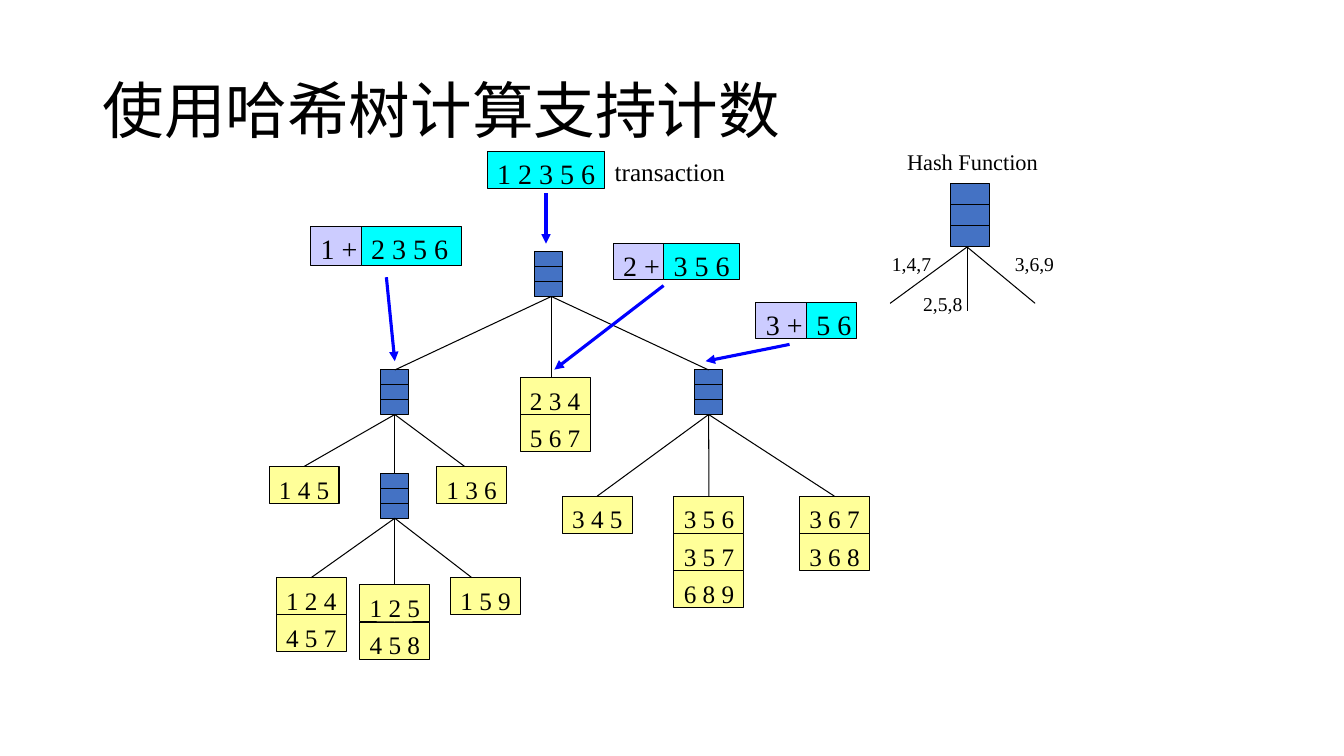
from pptx import Presentation
from pptx.dml.color import RGBColor
from pptx.enum.shapes import MSO_CONNECTOR, MSO_SHAPE
from pptx.enum.text import MSO_ANCHOR, MSO_AUTO_SIZE, PP_ALIGN
from pptx.oxml.ns import qn
from pptx.util import Pt
from lxml.etree import SubElement


def rgb(value):
    return RGBColor.from_string(value)


def write(tf, text, size=18, font="Times New Roman", color="000000", spacing=None):
    p = tf.paragraphs[0]
    p.alignment = PP_ALIGN.LEFT
    p.line_spacing = spacing
    r = p.add_run()
    r.text = text
    r.font.size = Pt(size)
    r.font.name = font
    r.font.color.rgb = rgb(color)
    SubElement(r.font._element, qn("a:ea")).set("typeface", font)


class HashTreeSlide:
    """Draw the parts of a hash tree on one slide, in points."""

    INK, ARROW = "000000", "0000FF"
    NODE, LEAF, PREFIX, ITEMS = "4472C4", "FFFF99", "CCCCFF", "00FFFF"
    NODE_W, NODE_H, LEAF_W, LEAF_H = 20, 31.8, 50, 26.5

    def __init__(self, prs):
        self.s = prs.slides.add_slide(prs.slide_layouts[5])

    def title(self, text, x, y, w, h):
        sp = self.s.shapes.title
        sp.left, sp.top, sp.width, sp.height = Pt(x), Pt(y), Pt(w), Pt(h)
        tf = sp.text_frame
        tf.auto_size = MSO_AUTO_SIZE.NONE
        tf.vertical_anchor = MSO_ANCHOR.MIDDLE
        write(tf, text, size=44, font="Noto Sans CJK SC", spacing=0.9)

    def label(self, text, x, y, w, h, size):
        tf = self.s.shapes.add_textbox(Pt(x), Pt(y), Pt(w), Pt(h)).text_frame
        tf.word_wrap = False
        write(tf, text, size=size)

    def box(self, x, y, w, h, fill, text="", size=18, top=3.6):
        sp = self.s.shapes.add_shape(MSO_SHAPE.RECTANGLE, Pt(x), Pt(y), Pt(w), Pt(h))
        sp.shadow.inherit = False
        sp.fill.solid()
        sp.fill.fore_color.rgb = rgb(fill)
        sp.line.color.rgb = rgb(self.INK)
        sp.line.width = Pt(0.75)
        if text:
            tf = sp.text_frame
            tf.word_wrap = True
            tf.vertical_anchor = MSO_ANCHOR.TOP
            tf.margin_top, tf.margin_right, tf.margin_bottom = Pt(top), 0, 0
            write(tf, text, size=size)
        return sp

    def line(self, x1, y1, x2, y2, color=INK, width=0.75):
        c = self.s.shapes.add_connector(
            MSO_CONNECTOR.STRAIGHT, Pt(x1), Pt(y1), Pt(x2), Pt(y2))
        c.line.color.rgb = rgb(color)
        c.line.width = Pt(width)
        SubElement(c._element.spPr, qn("a:effectLst"))
        return c

    def arrow(self, *ends):
        c = self.line(*ends, color=self.ARROW, width=2.25)
        SubElement(c.line._get_or_add_ln(), qn("a:tailEnd")).set("type", "triangle")

    def node(self, x, y, w=NODE_W, h=NODE_H):
        sp = self.box(x, y, w, h, self.NODE)
        for i in (1, 2):
            self.line(x, y + h * i / 3, x + w, y + h * i / 3)
        return sp

    def leaf(self, x, y, *itemsets):
        cells = [self.box(x, y + i * self.LEAF_H, self.LEAF_W, self.LEAF_H,
                          self.LEAF, text, top=5.4)
                 for i, text in enumerate(itemsets)]
        return cells[0]

    def link(self, parent, child, start=None, end=None):
        bottom = parent.top.pt + parent.height.pt
        c = self.line(start or 0, bottom, end or 0, child.top.pt)
        if start is None:
            c.begin_connect(parent, 2)
        if end is None:
            c.end_connect(child, 0)

    def split(self, x, y, h, prefix, rest, rest_w, prefix_w=36):
        self.box(x, y, prefix_w, h, self.PREFIX, prefix, size=20)
        self.box(x + prefix_w, y, rest_w, h, self.ITEMS, rest, size=20)


def main():
    prs = Presentation()
    prs.slide_width, prs.slide_height = Pt(960), Pt(540)
    d = HashTreeSlide(prs)
    d.title("使用哈希树计算支持计数", 66, 28.8, 828, 104.4)

    root = d.node(381.6, 180)
    left = d.node(272, 264.3)
    right = d.node(496.2, 264.3)
    inner = d.node(272, 338.4)

    root_x = 393.8
    middle = d.leaf(371.5, 269.8, "2 3 4", "5 6 7")
    d.link(root, left, start=root_x)
    d.link(root, middle, start=root_x, end=root_x)
    d.link(root, right, start=root_x)

    d.link(left, d.leaf(192.2, 333.2, "1 4 5"))
    d.link(left, inner)
    d.link(left, d.leaf(311.8, 333.2, "1 3 6"), end=331.9)

    d.link(inner, d.leaf(197.3, 412.6, "1 2 4", "4 5 7"))
    d.link(inner, d.leaf(257, 417.8, "1 2 5", "4 5 8"))
    d.link(inner, d.leaf(321.8, 412.6, "1 5 9"), end=337)

    for x, itemsets in ((401.6, ["3 4 5"]),
                        (481.4, ["3 5 6", "3 5 7", "6 8 9"]),
                        (571, ["3 6 7", "3 6 8"])):
        d.link(right, d.leaf(x, 354.4, *itemsets))

    d.box(348, 108, 84, 26.4, d.ITEMS, "1 2 3 5 6", size=20)
    d.label("transaction", 432, 108, 93.6, 28.8, 18)
    d.split(222, 162, 28, "1 +", "2 3 5 6", 72)
    d.split(438, 174, 26, "2 +", "3 5 6", 54)
    d.split(540, 216, 26, "3 +", "5 6", 36)
    for ends in ((390, 138, 390, 174), (276, 198, 282, 258),
                 (474, 204, 396, 264), (564, 246, 504, 258)):
        d.arrow(*ends)

    d.label("Hash Function", 640.8, 102.2, 108.7, 26.6, 16)
    d.node(679.2, 131, 27.6, 45.4)
    for x, y in ((635.8, 216.7), (690.8, 222.5), (739.4, 216.7)):
        d.line(690.8, 176.4, x, y)
    for text, x, y in (("1,4,7", 630, 176.4), ("2,5,8", 652.3, 205.2),
                       ("3,6,9", 717.8, 176.4)):
        d.label(text, x, y, 42.5, 24.5, 14)

    prs.save("out.pptx")


if __name__ == "__main__":
    main()
